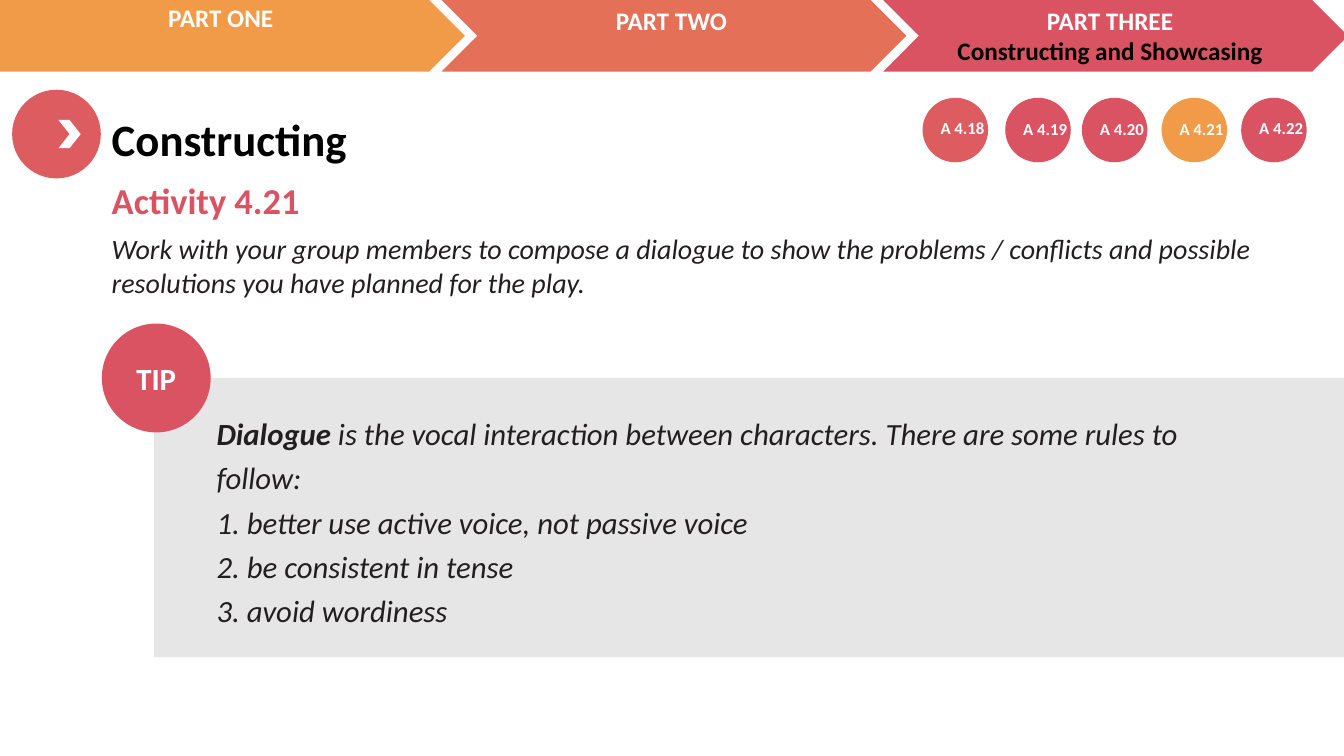
from dataclasses import dataclass

from pptx import Presentation
from pptx.dml.color import RGBColor
from pptx.enum.shapes import MSO_SHAPE
from pptx.enum.text import MSO_ANCHOR, PP_ALIGN
from pptx.util import Inches, Pt

CHEVRON, OVAL, RECT = MSO_SHAPE.CHEVRON, MSO_SHAPE.OVAL, MSO_SHAPE.RECTANGLE
LEFT, CENTER = PP_ALIGN.LEFT, PP_ALIGN.CENTER
TOP, MIDDLE = MSO_ANCHOR.TOP, MSO_ANCHOR.MIDDLE


@dataclass(frozen=True)
class Theme:
    font: str = "Calibri"
    orange: str = "F19B48"
    coral: str = "E47057"
    rose: str = "DA5362"
    red: str = "DD5C60"
    grey: str = "E7E6E6"
    ink: str = "231F20"
    black: str = "000000"
    white: str = "FFFFFF"
    title_size: int = 32
    heading_size: int = 26
    tip_size: int = 22
    body_size: int = 20
    nav_size: int = 18
    badge_size: int = 12


THEME = Theme()


def add_block(shapes, kind, x, y, w, h, color):
    sp = shapes.add_shape(kind, Inches(x), Inches(y), Inches(w), Inches(h))
    sp.shadow.inherit = False
    sp.fill.solid()
    sp.fill.fore_color.rgb = RGBColor.from_string(color)
    sp.line.fill.background()
    return sp


def run(text, size, color, bold=False, italic=False):
    return text, size, color, bold, italic


def write(sp, paragraphs, align=LEFT, anchor=TOP, spacing=None):
    """Fill a shape with paragraphs, each one a list of runs."""
    tf = sp.text_frame
    tf.word_wrap = True
    tf.vertical_anchor = anchor
    for i, runs in enumerate(paragraphs):
        p = tf.add_paragraph() if i else tf.paragraphs[0]
        p.alignment = align
        if spacing:
            p.line_spacing = spacing
        for text, size, color, bold, italic in runs:
            r = p.add_run()
            r.text = text
            r.font.name = THEME.font
            r.font.size = Pt(size)
            r.font.bold = bold
            r.font.italic = italic
            r.font.color.rgb = RGBColor.from_string(color)


def add_text(shapes, x, y, w, h, paragraphs, align=LEFT, spacing=None):
    sp = shapes.add_textbox(Inches(x), Inches(y), Inches(w), Inches(h))
    write(sp, paragraphs, align, spacing=spacing)


def add_badge(shapes, x, text_y, label, color):
    group = shapes.add_group_shape().shapes
    add_block(group, OVAL, x, 0.97, 0.65, 0.64, color)
    add_text(group, x + 0.08, text_y, 0.79, 0.3,
             [[run(label, THEME.badge_size, THEME.white, bold=True)]])


def add_navigation(shapes):
    t = THEME
    step = 4.38
    for x, w, color in ((step, 4.61, t.coral), (2 * step, 4.61, t.rose),
                        (-0.61, 5.22, t.orange)):
        add_block(shapes, CHEVRON, x, 0, w, 0.71, color)
    labels = (
        (-0.09, -0.03, 0.4, "PART ONE", None),
        (step, 0, 0.71, "PART TWO", None),
        (8.73, 0, 0.71, "PART THREE", "Constructing and Showcasing"),
    )
    for x, y, h, name, topic in labels:
        lines = [[run(name, t.nav_size, t.white, bold=True)]]
        if topic:
            lines.append([run(topic, t.nav_size, t.black, bold=True)])
        add_text(shapes, x, y, 4.56, h, lines, CENTER)


def add_heading(shapes):
    t = THEME
    add_block(shapes, OVAL, 0.12, 0.89, 0.88, 0.88, t.red)
    add_block(shapes, CHEVRON, 0.58, 1.19, 0.22, 0.28, t.white)
    add_text(shapes, 1.01, 1.06, 4.85, 0.64,
             [[run("Constructing", t.title_size, t.black, bold=True)]])
    add_text(shapes, 1.01, 1.72, 11.91, 0.54,
             [[run("Activity 4.21", t.heading_size, t.rose, bold=True)]])
    task = ("Work with your group members to compose a dialogue to show the "
            "problems / conflicts and possible resolutions you have planned "
            "for the play.")
    add_text(shapes, 1.01, 2.25, 11.81, 0.77,
             [[run(task, t.body_size, t.ink, italic=True)]])


def add_tip(shapes):
    t = THEME
    add_block(shapes, RECT, 1.53, 3.75, 11.8, 2.77, t.grey)
    circle = add_block(shapes, OVAL, 1.01, 3.21, 1.08, 1.08, t.rose)
    write(circle, [[run("TIP", t.tip_size, t.white, bold=True)]],
          CENTER, MIDDLE)
    intro = (" is the vocal interaction between characters. "
             "There are some rules to follow:")
    rules = ("1. better use active voice, not passive voice",
             "2. be consistent in tense",
             "3. avoid wordiness")
    lines = [[run("Dialogue", t.tip_size, t.ink, bold=True, italic=True),
              run(intro, t.tip_size, t.ink, italic=True)]]
    lines += [[run(rule, t.tip_size, t.ink, italic=True)] for rule in rules]
    add_text(shapes, 2.05, 3.99, 10.26, 2.29, lines, spacing=1.2)


def add_activity_badges(shapes):
    t = THEME
    for x, text_y, label, color in (
        (9.15, 1.12, "A 4.18", t.red),
        (9.97, 1.13, "A 4.19", t.rose),
        (10.73, 1.13, "A 4.20", t.rose),
        (11.52, 1.13, "A 4.21", t.orange),
        (12.31, 1.12, "A 4.22", t.rose),
    ):
        add_badge(shapes, x, text_y, label, color)


def main():
    prs = Presentation()
    prs.slide_width, prs.slide_height = Inches(13.33), Inches(7.5)
    s = prs.slides.add_slide(prs.slide_layouts[6])

    # Navigation bar across the top
    add_navigation(s.shapes)
    # Title, activity and task
    add_heading(s.shapes)
    # Tip panel
    add_tip(s.shapes)
    # Activity markers
    add_activity_badges(s.shapes)

    prs.save("out.pptx")


if __name__ == "__main__":
    main()
